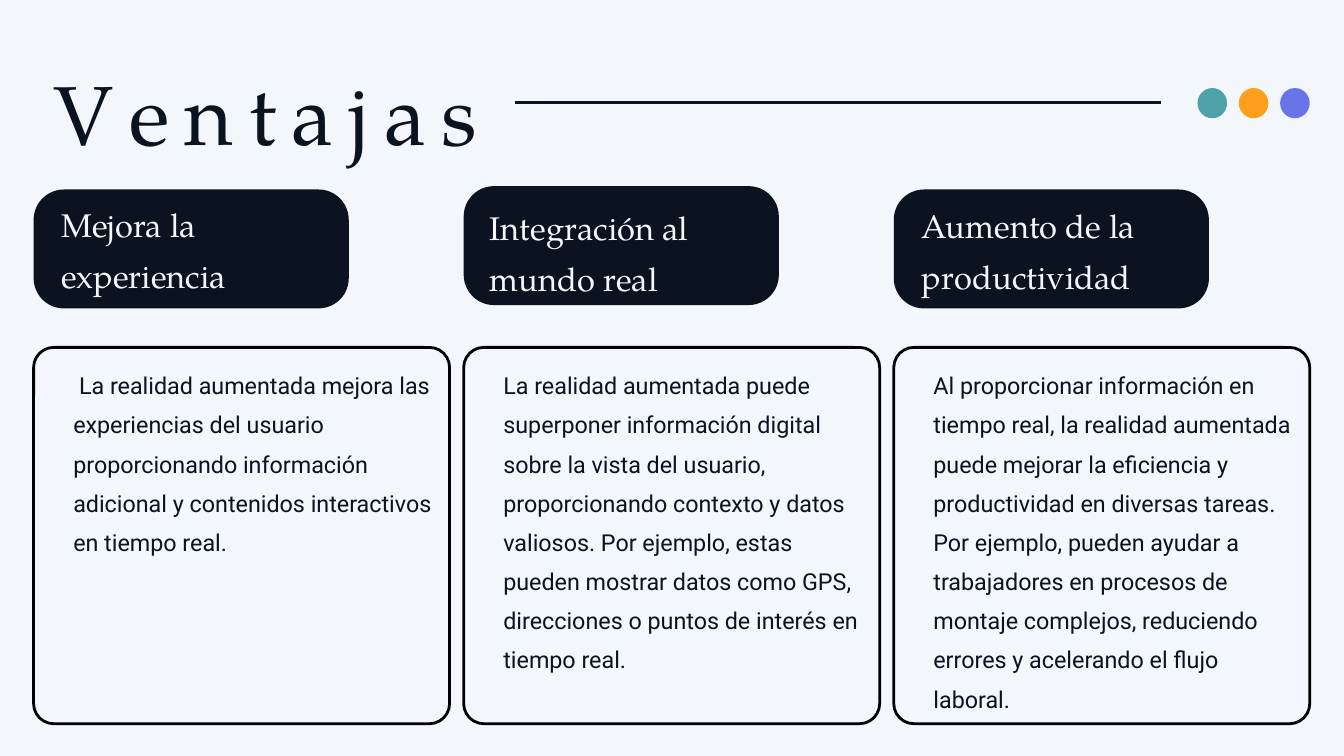
"""Builds the slide "Ventajas": three advantages in headed cards."""
from lxml import etree
from pptx import Presentation, util as u
from pptx.dml.color import RGBColor
from pptx.enum import shapes, text
from pptx.oxml.ns import qn

NAVY = RGBColor(0x0B, 0x13, 0x20)
PALE = RGBColor(0xF3, 0xF6, 0xFA)
BLACK = RGBColor(0, 0, 0)
TEAL = RGBColor(0x4D, 0xA1, 0xA9)
ORANGE = RGBColor(0xFF, 0x9F, 0x1C)
VIOLET = RGBColor(0x68, 0x74, 0xE8)

SERIF, SANS = "TeX Gyre Pagella", "Roboto"
COLUMNS, ROWS = 20, 11.25
CELL = u.Inches(1)
MARGIN, CARD_PITCH = 0.5, 6.4

ADVANTAGES = [
    ("Mejora la experiencia", 2.82, (0.41, 2.88),
     " La realidad aumentada mejora las experiencias del usuario proporcionando "
     "información adicional y contenidos interactivos en tiempo real."),
    ("Integración al mundo real", 2.77, (0.39, 2.92),
     "La realidad aumentada puede superponer información digital sobre la vista del "
     "usuario, proporcionando contexto y datos valiosos. Por ejemplo, estas pueden "
     "mostrar datos como GPS, direcciones o puntos de interés en tiempo real."),
    ("Aumento de la productividad", 2.82, (0.42, 2.89),
     "Al proporcionar información en tiempo real, la realidad aumentada puede mejorar "
     "la eficiencia y productividad en diversas tareas. Por ejemplo, pueden ayudar a "
     "trabajadores en procesos de montaje complejos, reduciendo errores y acelerando "
     "el flujo laboral."),
]


def grid(*cells):
    """Turns grid columns and rows into lengths."""
    return [u.Emu(round(cell * CELL)) for cell in cells]


def write(frame, content, size, font, color, leading, indent=0, tracking=0):
    """Fills a text frame with one formatted paragraph."""
    frame.word_wrap = True
    frame.auto_size = text.MSO_AUTO_SIZE.NONE
    frame.vertical_anchor = text.MSO_ANCHOR.TOP
    frame.margin_left = frame.margin_right = frame.margin_top = frame.margin_bottom = 0
    paragraph = frame.paragraphs[0]
    paragraph.alignment = text.PP_ALIGN.LEFT
    paragraph.line_spacing = leading
    run = paragraph.add_run()
    run.text = content
    run.font.size = u.Pt(size)
    run.font.name = font
    run.font.color.rgb = color
    if indent:
        properties = paragraph._p.get_or_add_pPr()
        properties.set("marL", str(grid(indent)[0]))
        properties.set("indent", "0")
    if tracking:
        run._r.get_or_add_rPr().set("spc", str(tracking * 100))


class Deck:
    """Holds the style and the current slide."""

    def __init__(self):
        """Starts a presentation with one titled slide."""
        self.presentation = Presentation()
        self.presentation.slide_width, self.presentation.slide_height = grid(COLUMNS, ROWS)
        self.slide = self.presentation.slides.add_slide(self.presentation.slide_layouts[5])
        self.slide.background.fill.solid()
        self.slide.background.fill.fore_color.rgb = PALE

    def title(self, content, box):
        """Moves and fills the title placeholder."""
        title = self.slide.shapes.title
        title.left, title.top, title.width, title.height = grid(*box)
        write(title.text_frame, content, 90, SERIF, NAVY, 1.2, tracking=-3)

    def label(self, content, box, **style):
        """Adds a wrapped text box."""
        write(self.slide.shapes.add_textbox(*grid(*box)).text_frame, content, **style)

    def shape(self, kind, box, fill=None, outline=None):
        """Adds a preset shape, filled or outlined."""
        shape = self.slide.shapes.add_shape(kind, *grid(*box))
        shape.shadow.inherit = False
        if fill is None:
            shape.fill.background()
        else:
            shape.fill.solid()
            shape.fill.fore_color.rgb = fill
        if outline is None:
            shape.line.fill.background()
        else:
            shape.line.color.rgb = outline
            shape.line.width = u.Pt(3)
        return shape

    def panel(self, box, radius, **look):
        """Adds a rectangle with rounded corners."""
        panel = self.shape(shapes.MSO_SHAPE.ROUNDED_RECTANGLE, box, **look)
        panel.adjustments[0] = radius / min(box[2:])

    def dot(self, box, fill):
        """Adds a coloured circle."""
        self.shape(shapes.MSO_SHAPE.OVAL, box, fill=fill)

    def rule(self, start, end):
        """Adds a straight line."""
        rule = self.slide.shapes.add_connector(
            shapes.MSO_CONNECTOR.STRAIGHT, *grid(*start, *end))
        rule.line.color.rgb = NAVY
        rule.line.width = u.Pt(3)
        etree.SubElement(rule._element.spPr, qn("a:effectLst"))

    def card(self, left, heading, heading_top, heading_start, body):
        """Adds a heading panel above an outlined text card."""
        inset, text_top = heading_start
        self.panel((left, heading_top, 4.69, 1.77), 0.45, fill=NAVY)
        self.label(heading, (left + inset, text_top, 3.9, 1.53),
                   size=35, font=SERIF, color=PALE, leading=1.3)
        self.panel((left, 5.17, 6.19, 5.6), 0.3, outline=BLACK)
        self.label(body, (left + 0.29, 5.36, 5.65, 5.3),
                   size=25, font=SANS, color=NAVY, leading=1.4, indent=0.3)


def main():
    """Builds and saves the slide."""
    deck = Deck()
    deck.title("V e n t a j a s", (0.79, 0.61, 10.26, 1.82))
    for index, advantage in enumerate(ADVANTAGES):
        deck.card(MARGIN + index * CARD_PITCH, *advantage)
    deck.rule((7.67, 1.53), (17.27, 1.53))
    for index, color in enumerate((TEAL, ORANGE, VIOLET)):
        deck.dot((17.82 + index * 0.615, 1.31, 0.44, 0.45), color)
    deck.presentation.save("out.pptx")


if __name__ == "__main__":
    main()
